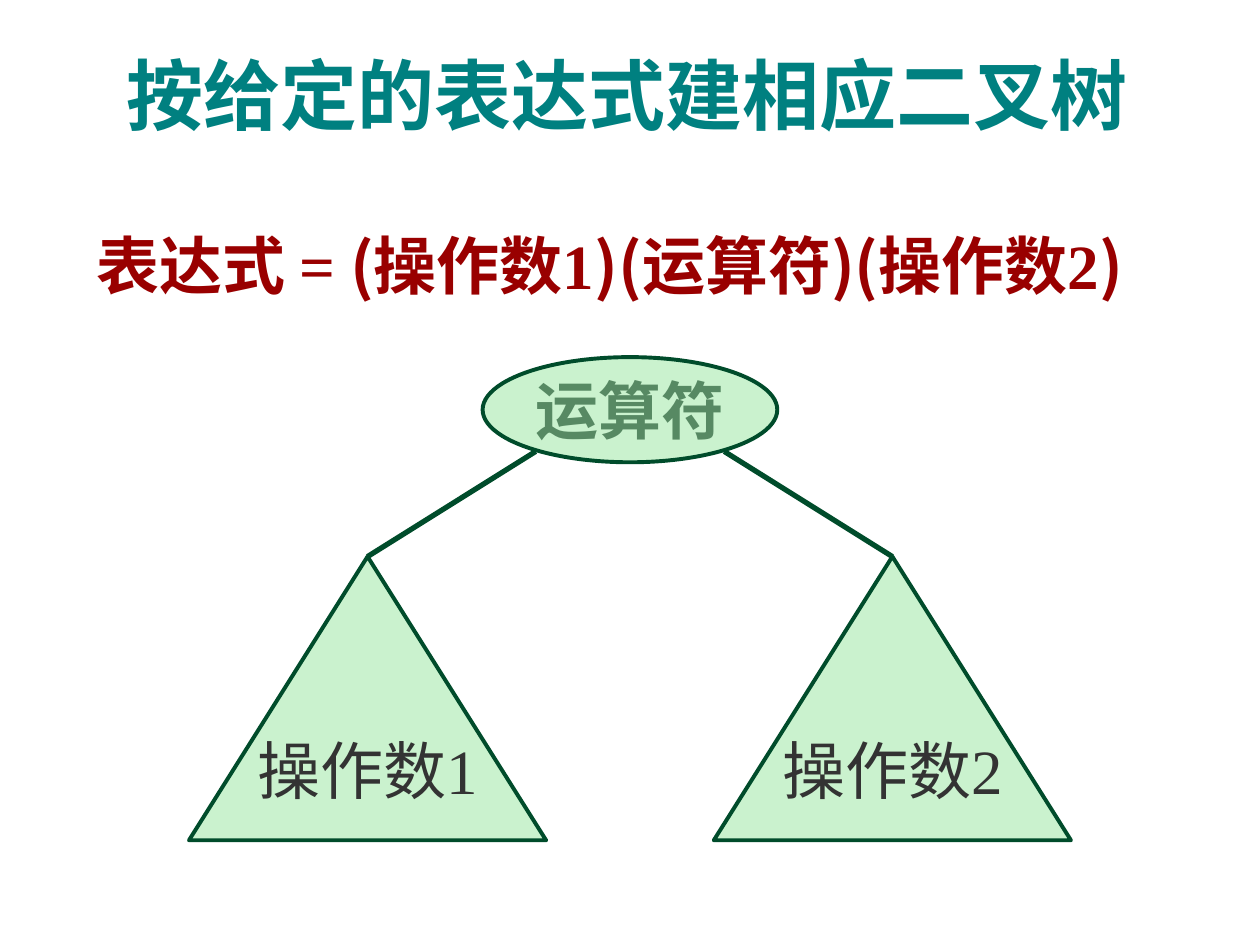
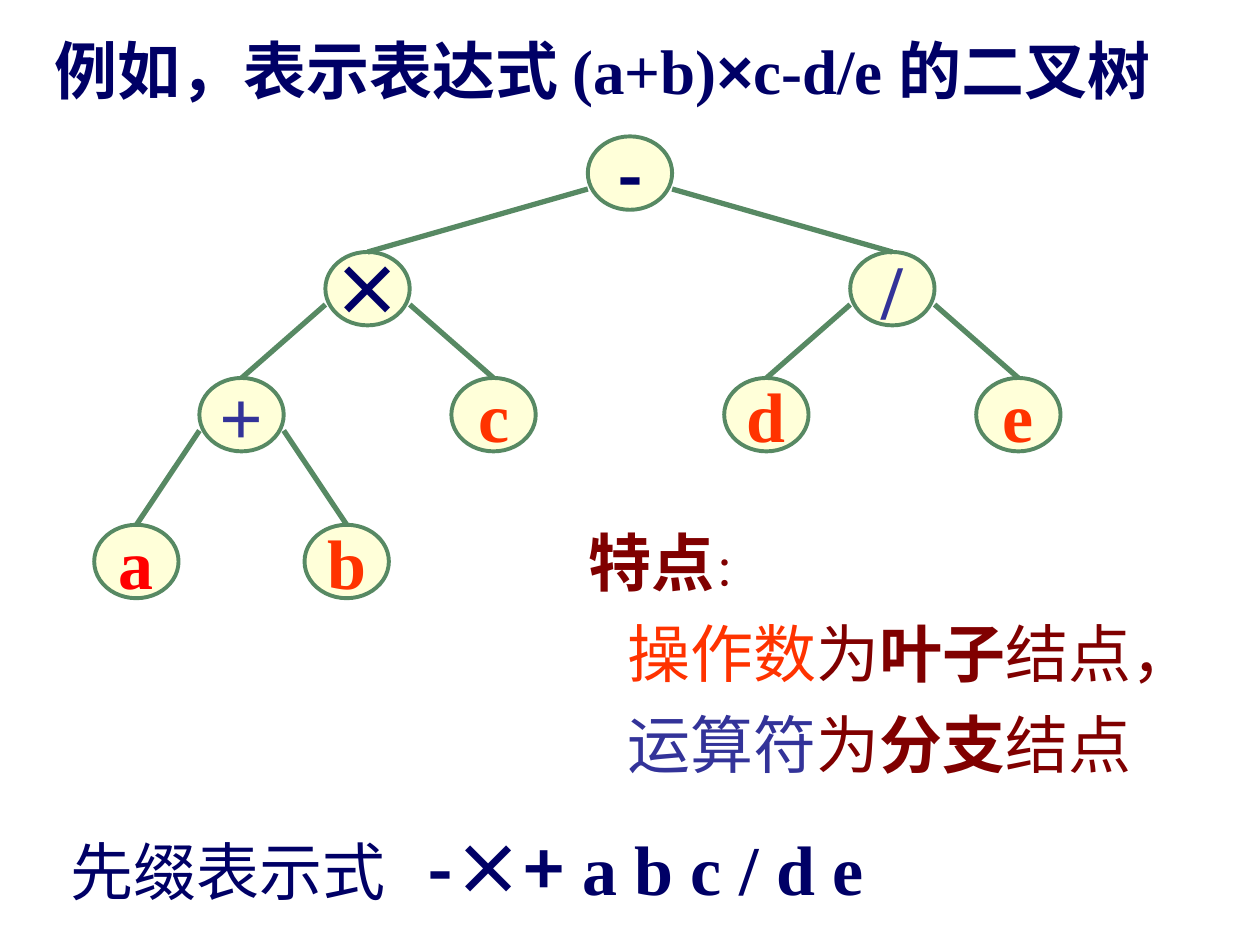
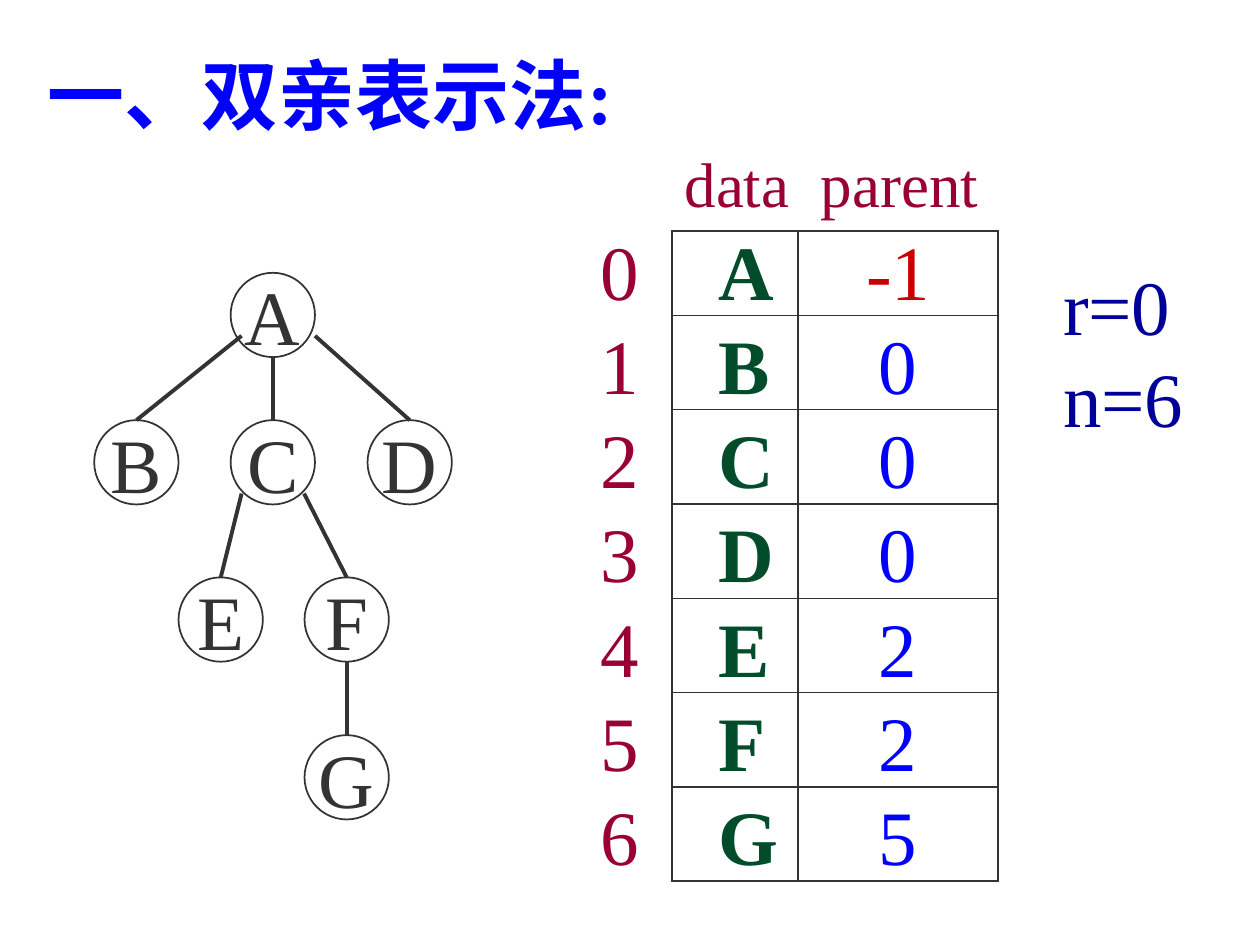
import dataclasses
import typing

import lxml.etree
import pptx
import pptx.dml.color
import pptx.enum.shapes
import pptx.enum.text
import pptx.oxml.ns
import pptx.util

Cm = pptx.util.Cm
Pt = pptx.util.Pt
qn = pptx.oxml.ns.qn
SHAPES = pptx.enum.shapes.MSO_SHAPE
ALIGN = pptx.enum.text.PP_ALIGN
ANCHOR = pptx.enum.text.MSO_ANCHOR

SERIF = "Times New Roman"
SANS = "Noto Sans CJK SC"
NO_STYLE = "{2D5ABB26-0587-4C30-8999-92F81FD0307C}"
MID = 12.7

TEAL = "008080"
RED = "990000"
DARK_GREEN = "004C2B"
PALE_GREEN = "CAF2CE"
SAGE = "578963"
CREAM = "FFFFD9"
NAVY = "000066"
INDIGO = "333399"
ORANGE = "FF3300"
MAROON = "800000"
CRIMSON = "990033"
BLUE = "0000FF"
GREY = "333333"


@dataclasses.dataclass(frozen=True)
class Node:
    label: str
    x: float
    y: float
    color: str = GREY
    size: float = 44
    bold: bool = False
    font: str = SERIF


@dataclasses.dataclass(frozen=True)
class Edge:
    parent: str
    child: str
    dx: float
    dy: float


@dataclasses.dataclass(frozen=True)
class TreeStyle:
    width: float
    height: float
    fill: typing.Optional[str]
    line: str
    outline: float
    edge: float


@dataclasses.dataclass(frozen=True)
class Record:
    data: str
    parent: str
    color: str = BLUE


def rgb(value: str) -> pptx.dml.color.RGBColor:
    return pptx.dml.color.RGBColor.from_string(value)


def put(p, text: str, *, size: float = 36, color: str = GREY, bold: bool = False,
        font: str = SERIF, align=None, spacing: typing.Optional[float] = None) -> None:
    r = p.add_run()
    r.text = text
    r.font.size = Pt(size)
    r.font.bold = bold
    r.font.color.rgb = rgb(color)
    r.font.name = font
    ea = lxml.etree.SubElement(r.font._element, qn("a:ea"))
    ea.set("typeface", SANS)
    if align is not None:
        p.alignment = align
    if spacing is not None:
        p.line_spacing = spacing


def add_box(s, x: float, y: float, w: float, h: float):
    tf = s.shapes.add_textbox(Cm(x), Cm(y), Cm(w), Cm(h)).text_frame
    tf.word_wrap = True
    return tf


def add_title(s, text: str, x: float, w: float, color: str) -> None:
    put(add_box(s, x, 0.84, w, 2.13).paragraphs[0], text, size=44, color=color, bold=True)


def add_outlined(s, kind, x: float, y: float, w: float, h: float,
                 fill: typing.Optional[str], line: str, width: float):
    sp = s.shapes.add_shape(kind, Cm(x), Cm(y), Cm(w), Cm(h))
    sp.shadow.inherit = False
    if fill is None:
        sp.fill.background()
    else:
        sp.fill.solid()
        sp.fill.fore_color.rgb = rgb(fill)
    sp.line.color.rgb = rgb(line)
    sp.line.width = Pt(width)
    tf = sp.text_frame
    tf.word_wrap = False
    tf.vertical_anchor = ANCHOR.MIDDLE
    return tf.paragraphs[0]


def add_line(s, x1: float, y1: float, x2: float, y2: float, color: str, width: float) -> None:
    c = s.shapes.add_connector(pptx.enum.shapes.MSO_CONNECTOR.STRAIGHT,
                               Cm(x1), Cm(y1), Cm(x2), Cm(y2))
    c.line.color.rgb = rgb(color)
    c.line.width = Pt(width)
    lxml.etree.SubElement(c._element.spPr, qn("a:effectLst"))


def add_tree(s, nodes: list[Node], edges: list[Edge], style: TreeStyle) -> None:
    for n in nodes:
        p = add_outlined(s, SHAPES.OVAL, n.x - style.width / 2, n.y, style.width, style.height,
                         style.fill, style.line, style.outline)
        put(p, n.label, size=n.size, color=n.color, bold=n.bold, font=n.font, align=ALIGN.CENTER)
    by_label = {n.label: n for n in nodes}
    for e in edges:
        parent, child = by_label[e.parent], by_label[e.child]
        add_line(s, parent.x + e.dx, parent.y + e.dy, child.x, child.y, style.line, style.edge)


def add_borders(cell) -> None:
    tcPr = cell._tc.get_or_add_tcPr()
    for i, side in enumerate(("lnL", "lnR", "lnT", "lnB")):
        ln = lxml.etree.Element(qn(f"a:{side}"), w=str(Pt(1)))
        fill = lxml.etree.SubElement(ln, qn("a:solidFill"))
        lxml.etree.SubElement(fill, qn("a:srgbClr"), val=GREY)
        tcPr.insert(i, ln)


def fill_cell(cell, text: str, left: float, bottom: float = 0, **format) -> None:
    cell.fill.background()
    cell.margin_left = Cm(left)
    cell.margin_right = cell.margin_top = 0
    cell.margin_bottom = Cm(bottom)
    cell.vertical_anchor = ANCHOR.BOTTOM
    put(cell.text_frame.paragraphs[0], text, spacing=0.9, **format)


def add_parent_table(s, records: list[Record]) -> None:
    widths = (1.69, 2.54, 4.03)
    heights = [1.9, 1.7] + [1.9] * (len(records) - 1)
    frame = s.shapes.add_table(len(heights), len(widths), Cm(11.86), Cm(2.76),
                               Cm(sum(widths)), Cm(sum(heights)))
    table = frame.table
    table.first_row = table.horz_banding = False
    table._tbl.tblPr.find(qn("a:tableStyleId")).text = NO_STYLE
    for column, width in zip(table.columns, widths):
        column.width = Cm(width)
    for row, height in zip(table.rows, heights):
        row.height = Cm(height)
    for col, (text, left) in enumerate((("", 0), ("data", 0.25), ("parent", 0.46))):
        fill_cell(table.cell(0, col), text, left, 0.23, color=CRIMSON)
    for i, record in enumerate(records):
        index, data, parent = (table.cell(i + 1, col) for col in range(3))
        fill_cell(index, str(i), 0.25, size=44, color=CRIMSON)
        fill_cell(data, record.data, 0.93, size=44, color=DARK_GREEN, bold=True)
        fill_cell(parent, record.parent, 0, size=44, color=record.color, align=ALIGN.CENTER)
        add_borders(data)
        add_borders(parent)


def build_expression_rule(s) -> None:
    add_title(s, "按给定的表达式建相应二叉树", 2.31, 21.6, TEAL)
    p = add_box(s, 1.7, 4.45, 22.43, 3.3).paragraphs[0]
    for text, font in (("表达式 ", SANS), ("=", SERIF), (" (操作数", SANS), ("1", SERIF),
                       (")(运算符)(操作数", SANS), ("2", SERIF), (")", SANS)):
        put(p, text, color=RED, bold=True, font=font)
    p = add_outlined(s, SHAPES.OVAL, MID - 2.97, 7.2, 5.94, 2.12, PALE_GREEN, DARK_GREEN, 2.25)
    put(p, "运算符", color=SAGE, bold=True, align=ALIGN.CENTER)
    for side, label in ((-1, "操作数1"), (1, "操作数2")):
        apex = MID + side * 5.29
        add_line(s, MID + side * 1.9, 9.1, apex, 11.22, DARK_GREEN, 3)
        p = add_outlined(s, SHAPES.ISOSCELES_TRIANGLE, apex - 3.6, 11.22, 7.2, 5.72,
                         PALE_GREEN, DARK_GREEN, 2.25)
        put(p, label, align=ALIGN.CENTER)


def build_expression_tree(s) -> None:
    p = add_box(s, 0.84, 0.2, 22.86, 3.91).paragraphs[0]
    for text, font in (("例如，表示表达式 (a+b)", SERIF), ("×", "Arial"), ("c-d/e 的二叉树", SERIF)):
        put(p, text, color=NAVY, bold=True, font=font, spacing=1.2)

    leaves = [Node(label, x, y, color, 40, True) for label, x, y, color in (
        ("a", 2.75, 10.58, "FF0000"), ("b", 6.99, 10.58, ORANGE), ("c", 9.95, 7.62, ORANGE),
        ("d", 15.45, 7.62, ORANGE), ("e", 20.53, 7.62, ORANGE))]
    operators = [
        Node("-", MID, 2.75, NAVY, 40, True, SANS),
        Node("×", 7.41, 5.08, NAVY, 40, True, SANS),
        Node("+", 4.87, 7.62, INDIGO, 44, True),
        Node("/", 17.99, 5.08, INDIGO, 44, True),
    ]
    edges = [Edge(parent, child, dx, 1.06)
             for parent, children in (("-", "×/"), ("×", "+c"), ("+", "ab"), ("/", "de"))
             for child, dx in zip(children, (-0.85, 0.85))]
    add_tree(s, leaves + operators, edges, TreeStyle(1.7, 1.48, CREAM, SAGE, 2.25, 3))

    tf = add_box(s, 11.61, 10.13, 13.2, 5.74)
    p = tf.paragraphs[0]
    put(p, "特点", color=MAROON, bold=True, spacing=1.2)
    put(p, "：", size=24, color=MAROON)
    for subject, color, kind, ending in (("操作数", ORANGE, "叶子", "结点，"),
                                         ("运算符", INDIGO, "分支", "结点")):
        p = tf.add_paragraph()
        pPr = p._p.get_or_add_pPr()
        pPr.set("marL", str(Cm(0.8)))
        pPr.set("indent", "0")
        put(p, subject, color=color, spacing=1.2)
        put(p, "为", color=MAROON)
        put(p, kind, color=MAROON, bold=True)
        put(p, ending, color=MAROON)

    p = add_box(s, 1.17, 16.51, 18, 1.96).paragraphs[0]
    tabs = lxml.etree.SubElement(p._p.get_or_add_pPr(), qn("a:tabLst"))
    lxml.etree.SubElement(tabs, qn("a:tab"), pos=str(Cm(7.2)), algn="l")
    put(p, "先缀表示式\t", color=NAVY)
    put(p, "-×+", size=40, color=NAVY, bold=True, font=SANS)
    put(p, " a b c / d e", size=40, color=NAVY, bold=True)


def build_parent_representation(s) -> None:
    add_title(s, "一、双亲表示法:", 0.71, 14, BLUE)
    nodes = [Node("A", 5.5, 5.5), Node("B", 2.75, 8.47), Node("C", 5.5, 8.47),
             Node("D", 8.26, 8.47), Node("E", 4.45, 11.64), Node("F", 6.99, 11.64),
             Node("G", 6.99, 14.82)]
    edges = [Edge("A", "B", -0.63, 1.27), Edge("A", "C", 0, 1.7), Edge("A", "D", 0.85, 1.27),
             Edge("C", "E", -0.63, 1.48), Edge("C", "F", 0.63, 1.48), Edge("F", "G", 0, 1.7)]
    add_tree(s, nodes, edges, TreeStyle(1.7, 1.7, None, GREY, 1, 2.25))

    add_parent_table(s, [Record("A", "-1", "CC0000"), Record("B", "0"), Record("C", "0"),
                         Record("D", "0"), Record("E", "2"), Record("F", "2"), Record("G", "5")])

    tf = add_box(s, 21.18, 5.08, 3.6, 3.99)
    put(tf.paragraphs[0], "r=0", size=44, color="000099")
    put(tf.add_paragraph(), "n=6", size=44, color="000099")


def main() -> None:
    prs = pptx.Presentation()
    prs.slide_width = Cm(25.4)
    prs.slide_height = Cm(19.05)
    for build in (build_expression_rule, build_expression_tree, build_parent_representation):
        build(prs.slides.add_slide(prs.slide_layouts[6]))
    prs.save("out.pptx")


if __name__ == "__main__":
    main()
